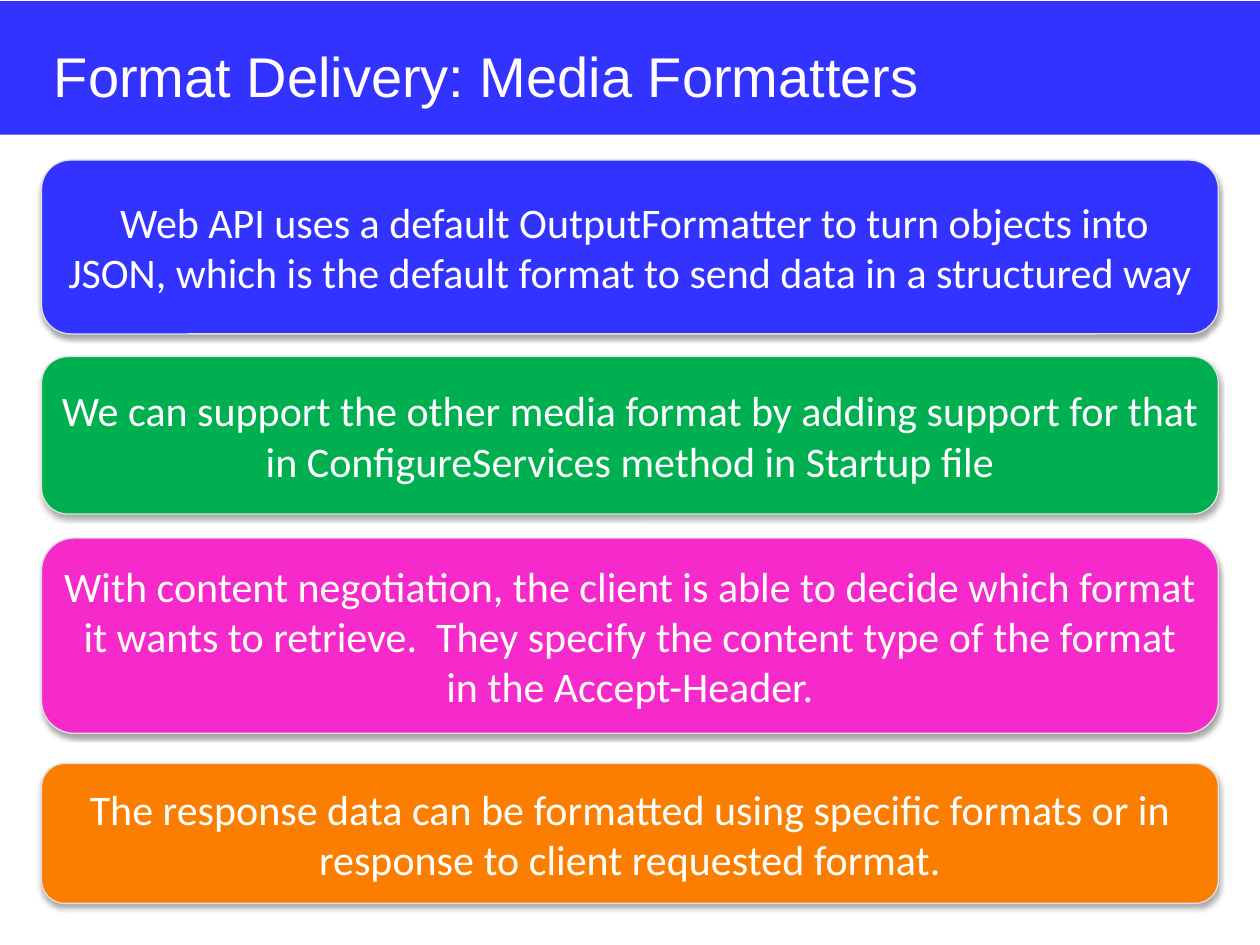
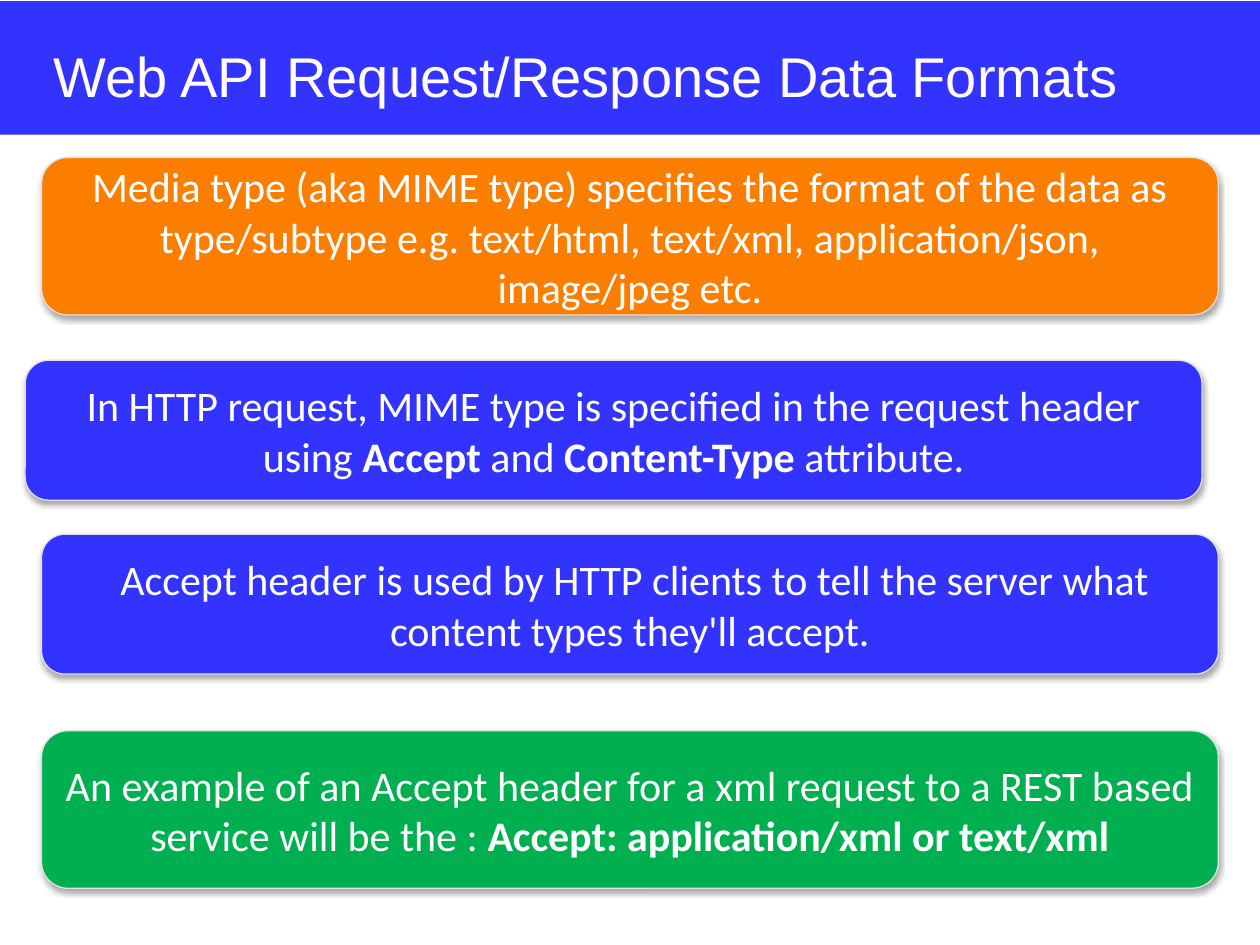
from dataclasses import dataclass
from typing import NamedTuple

from lxml import etree
from pptx import Presentation
from pptx import util as u
from pptx.dml.color import RGBColor
from pptx.enum import shapes, text
from pptx.oxml import ns
from pptx.shapes.autoshape import Shape
from pptx.slide import Slide

BLUE = RGBColor(0x33, 0x33, 0xFF)
GREEN = RGBColor(0x00, 0xB0, 0x50)
PINK = RGBColor(0xF6, 0x2A, 0xCA)
ORANGE = RGBColor(0xFC, 0x7E, 0x00)
WHITE = RGBColor(0xFF, 0xFF, 0xFF)
TITLE_WHITE = RGBColor(0xFF, 0xFC, 0xF9)
OUTLINE = RGBColor(0xE1, 0xE1, 0xE1)
BLACK = RGBColor(0x00, 0x00, 0x00)

SLIDE_WIDTH, SLIDE_HEIGHT = u.Inches(10), u.Inches(7.5)
COLUMNS, ROWS = 100, 75
COLUMN, ROW = SLIDE_WIDTH / COLUMNS, SLIDE_HEIGHT / ROWS
MARGIN = 3.3
CONTENT_COLUMNS = COLUMNS - 2 * MARGIN

TITLE_FONT, TITLE_SIZE = "Arial", u.Pt(32)
CARD_FONT, CARD_SIZE = "Calibri", u.Pt(24)


class Area(NamedTuple):
    left: float
    top: float
    columns: float
    rows: float

    def lengths(self) -> tuple[int, int, int, int]:
        return (round(self.left * COLUMN), round(self.top * ROW),
                round(self.columns * COLUMN), round(self.rows * ROW))


class Phrase(NamedTuple):
    words: str
    bold: bool = False


@dataclass(frozen=True)
class Card:
    top: float
    rows: float
    color: RGBColor
    phrases: tuple[Phrase, ...]
    left: float = MARGIN


@dataclass(frozen=True)
class Page:
    title: str
    cards: tuple[Card, ...]


BAND = Area(0, 0.1, COLUMNS, 10.6)
TITLE = Area(MARGIN, 2.8, CONTENT_COLUMNS, 6.2)

PAGES = (
    Page("Format Delivery: Media Formatters", (
        Card(12.7, 13.8, BLUE, (
            Phrase(" Web API uses a default OutputFormatter to turn objects into JSON, "
                   "which is the default format to send data in a structured way"),)),
        Card(28.3, 12.5, GREEN, (
            Phrase("We can support the other media format by adding support for that "
                   "in ConfigureServices method in Startup file"),)),
        Card(42.7, 15.5, PINK, (
            Phrase("With content negotiation, the client is able to decide which format "
                   "it wants to retrieve.  They specify the content type of the format "
                   "in the Accept-Header."),)),
        Card(60.6, 11.1, ORANGE, (
            Phrase("The response data can be formatted using specific formats or in "
                   "response to client requested format."),)),
    )),
    Page("Web API Request/Response Data Formats", (
        Card(12.5, 12.5, ORANGE, (
            Phrase("Media type (aka MIME type) specifies the format of the data as "
                   "type/subtype e.g. text/html, text/xml, application/json, "
                   "image/jpeg etc."),)),
        Card(28.6, 11.1, BLUE, (
            Phrase("In HTTP request, MIME type is specified in the request header using "),
            Phrase("Accept", True),
            Phrase(" and "),
            Phrase("Content-Type", True),
            Phrase(" attribute.")), left=2),
        Card(42.4, 11.1, BLUE, (
            Phrase(" Accept header is used by HTTP clients to tell the server what "
                   "content types they'll accept."),)),
        Card(58, 12.5, GREEN, (
            Phrase("An example of an Accept header for a xml request to a REST based "
                   "service will be the : "),
            Phrase("Accept: application/xml or text/xml", True))),
    )),
)


def add_filled_shape(slide: Slide, kind: shapes.MSO_SHAPE, area: Area, color: RGBColor) -> Shape:
    shape = slide.shapes.add_shape(kind, *area.lengths())
    shape.shadow.inherit = False
    shape.fill.solid()
    shape.fill.fore_color.rgb = color
    shape.line.fill.background()
    return shape


def add_soft_shadow(shape: Shape) -> None:
    effects = shape._element.spPr.find(ns.qn("a:effectLst"))
    shadow = etree.SubElement(
        effects, ns.qn("a:outerShdw"), blurRad=str(u.Pt(3.1)), dist=str(u.Pt(1.8)),
        dir="5400000", rotWithShape="0")
    color = etree.SubElement(shadow, ns.qn("a:srgbClr"), val=str(BLACK))
    etree.SubElement(color, ns.qn("a:alpha"), val="35000")


def add_title(slide: Slide, title: str) -> None:
    add_filled_shape(slide, shapes.MSO_SHAPE.RECTANGLE, BAND, BLUE)
    frame = slide.shapes.add_textbox(*TITLE.lengths()).text_frame
    frame.word_wrap = True
    paragraph = frame.paragraphs[0]
    paragraph.text = title
    paragraph.font.name = TITLE_FONT
    paragraph.font.size = TITLE_SIZE
    paragraph.font.color.rgb = TITLE_WHITE


def add_card(slide: Slide, card: Card) -> None:
    area = Area(card.left, card.top, CONTENT_COLUMNS, card.rows)
    shape = add_filled_shape(slide, shapes.MSO_SHAPE.ROUNDED_RECTANGLE, area, card.color)
    shape.line.color.rgb = OUTLINE
    shape.line.width = u.Pt(0.75)
    add_soft_shadow(shape)
    frame = shape.text_frame
    frame.word_wrap = True
    frame.vertical_anchor = text.MSO_ANCHOR.MIDDLE
    paragraph = frame.paragraphs[0]
    paragraph.alignment = text.PP_ALIGN.CENTER
    paragraph.font.name = CARD_FONT
    paragraph.font.size = CARD_SIZE
    paragraph.font.color.rgb = WHITE
    for phrase in card.phrases:
        run = paragraph.add_run()
        run.text = phrase.words
        if phrase.bold:
            run.font.bold = True


def main() -> None:
    presentation = Presentation()
    presentation.slide_width, presentation.slide_height = SLIDE_WIDTH, SLIDE_HEIGHT
    blank_layout = presentation.slide_layouts[6]
    for page in PAGES:
        slide = presentation.slides.add_slide(blank_layout)
        add_title(slide, page.title)
        for card in page.cards:
            add_card(slide, card)
    presentation.save("out.pptx")


if __name__ == "__main__":
    main()
